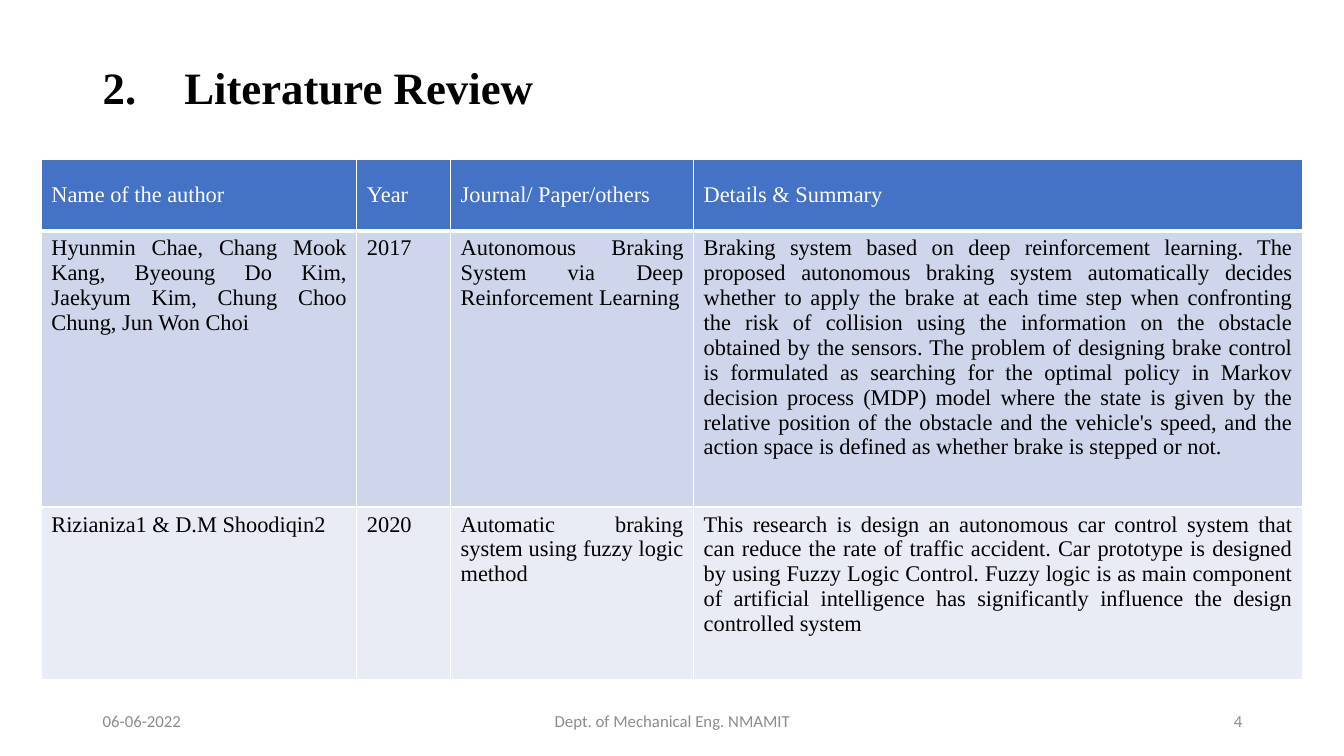
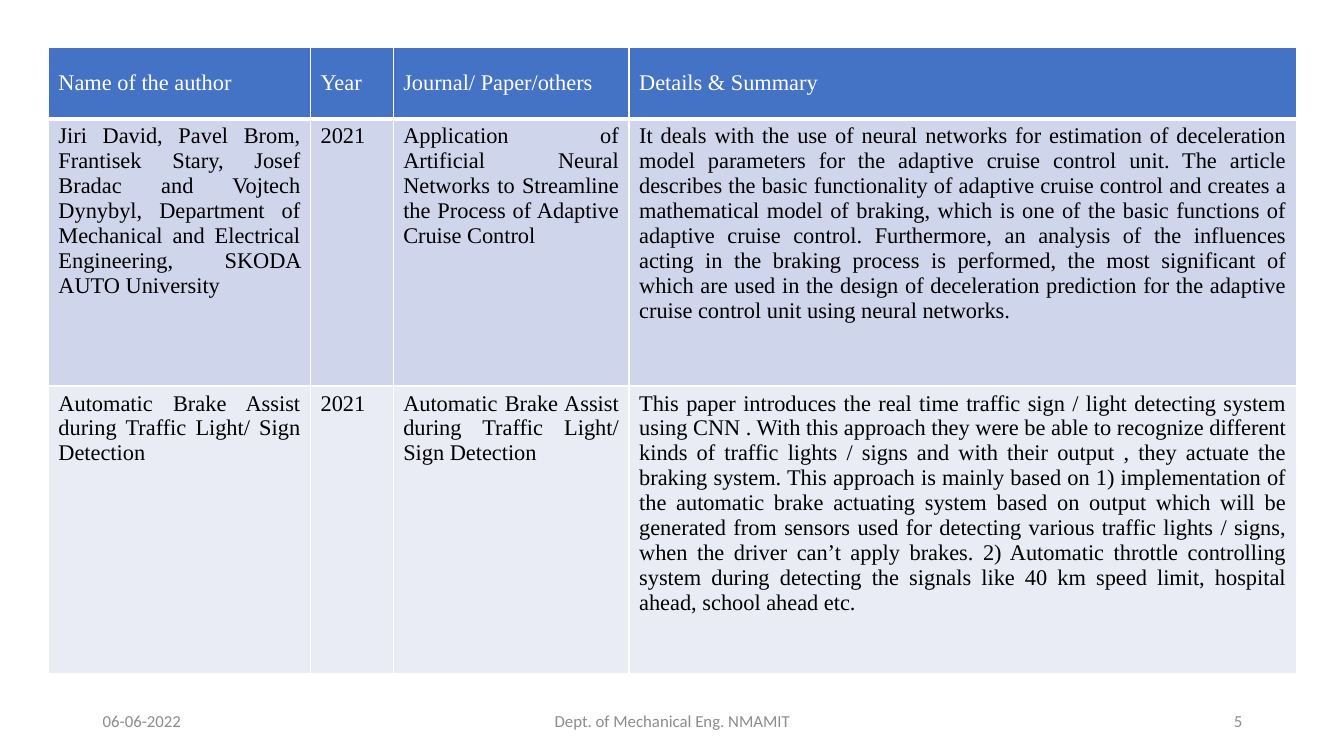
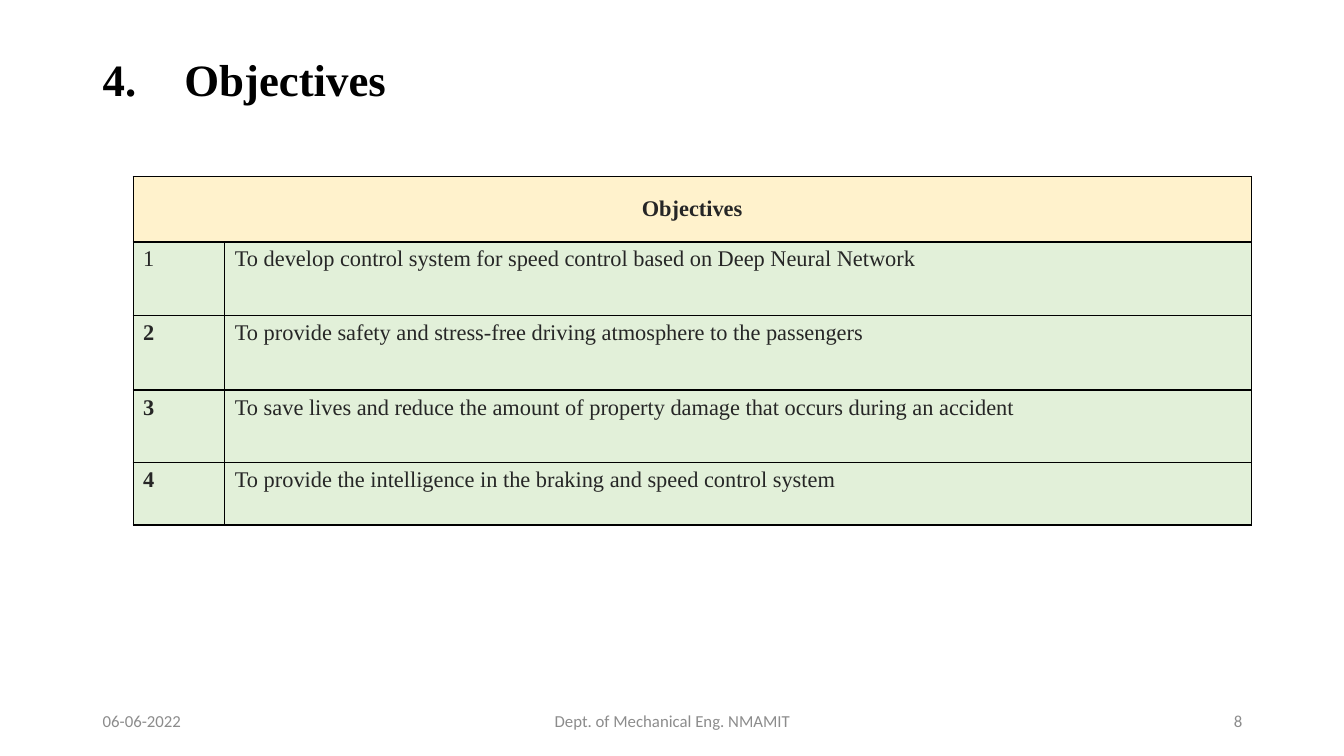
from dataclasses import dataclass
from typing import NamedTuple

from pptx import Presentation
from pptx.dml.color import RGBColor
from pptx.enum.text import MSO_ANCHOR, PP_ALIGN
from pptx.oxml.ns import qn
from pptx.util import Inches, Pt
from lxml.etree import SubElement

SERIF = "Times New Roman"
BLACK, WHITE, GREY, DARK = "000000", "FFFFFF", "8C8C8C", "262626"
BLUE, BLUE_TINT, PALE_BLUE = "4472C4", "CFD5EA", "E9EBF5"
CREAM, GREEN = "FFF2CC", "E2F0D9"
TITLE_INDENT = 0.81
REVIEW_HEADER = ("Name of the author", "Year", "Journal/ Paper/others", "Details & Summary")


class Box(NamedTuple):
    left: float
    top: float
    width: float
    height: float

    def inches(self) -> list:
        return [Inches(v) for v in self]


@dataclass
class TextStyle:
    size: float
    color: str
    name: str = SERIF
    bold: bool = False
    align: PP_ALIGN = PP_ALIGN.LEFT
    anchor: MSO_ANCHOR = MSO_ANCHOR.TOP


@dataclass
class CellStyle:
    text: TextStyle
    fill: str
    line: str
    top: float = 1
    bottom: float = 1


class FooterItem(NamedTuple):
    box: Box
    text: str
    align: PP_ALIGN


class Review(NamedTuple):
    author: str
    year: str
    paper: str
    summary: str


FOOTER = (
    FooterItem(Box(0.92, 6.95, 3, 0.4), "06-06-2022", PP_ALIGN.LEFT),
    FooterItem(Box(4.42, 6.95, 4.5, 0.4), "Dept. of Mechanical Eng. NMAMIT", PP_ALIGN.CENTER),
    FooterItem(Box(9.42, 6.95, 3, 0.4), "{number}", PP_ALIGN.RIGHT),
)

TITLE = TextStyle(32, BLACK, bold=True, anchor=MSO_ANCHOR.MIDDLE)
REVIEW_TEXT = TextStyle(16, BLACK, align=PP_ALIGN.JUSTIFY)
REVIEW_STYLES = (
    CellStyle(TextStyle(16, WHITE, align=PP_ALIGN.JUSTIFY, anchor=MSO_ANCHOR.MIDDLE),
              BLUE, WHITE, bottom=3),
    CellStyle(REVIEW_TEXT, BLUE_TINT, WHITE, top=3),
    CellStyle(REVIEW_TEXT, PALE_BLUE, WHITE),
)
OBJECTIVE_HEADER = CellStyle(
    TextStyle(16, DARK, bold=True, align=PP_ALIGN.CENTER, anchor=MSO_ANCHOR.MIDDLE), CREAM, BLACK)
OBJECTIVE = CellStyle(TextStyle(16, DARK), GREEN, BLACK)
OBJECTIVE_NUMBER = CellStyle(TextStyle(16, DARK, bold=True), GREEN, BLACK)

EARLY_REVIEWS = (
    Review(
        "Hyunmin Chae, Chang Mook Kang, Byeoung Do Kim, Jaekyum Kim, Chung Choo Chung, Jun Won Choi",
        "2017",
        "Autonomous Braking System via Deep Reinforcement Learning",
        "Braking system based on deep reinforcement learning. The proposed autonomous braking "
        "system automatically decides whether to apply the brake at each time step when "
        "confronting the risk of collision using the information on the obstacle obtained by the "
        "sensors. The problem of designing brake control is formulated as searching for the "
        "optimal policy in Markov decision process (MDP) model where the state is given by the "
        "relative position of the obstacle and the vehicle's speed, and the action space is "
        "defined as whether brake is stepped or not.",
    ),
    Review(
        "Rizianiza1 & D.M Shoodiqin2",
        "2020",
        "Automatic braking system using fuzzy logic method",
        "This research is design an autonomous car control system that can reduce the rate of "
        "traffic accident. Car prototype is designed by using Fuzzy Logic Control. Fuzzy logic is "
        "as main component of artificial intelligence has significantly influence the design "
        "controlled system",
    ),
)
LATE_REVIEWS = (
    Review(
        "Jiri David, Pavel Brom, Frantisek Stary, Josef Bradac and Vojtech Dynybyl, Department of "
        "Mechanical and Electrical Engineering, SKODA AUTO University",
        "2021",
        "Application of Artificial Neural Networks to Streamline the Process of Adaptive Cruise "
        "Control",
        "It deals with the use of neural networks for estimation of deceleration model parameters "
        "for the adaptive cruise control unit. The article describes the basic functionality of "
        "adaptive cruise control and creates a mathematical model of braking, which is one of the "
        "basic functions of adaptive cruise control. Furthermore, an analysis of the influences "
        "acting in the braking process is performed, the most significant of which are used in "
        "the design of deceleration prediction for the adaptive cruise control unit using neural "
        "networks.",
    ),
    Review(
        "Automatic Brake Assist during Traffic Light/ Sign Detection",
        "2021",
        "Automatic Brake Assist during Traffic Light/ Sign Detection",
        "This paper introduces the real time traffic sign / light detecting system using CNN . "
        "With this approach they were be able to recognize different kinds of traffic lights / "
        "signs and with their output , they actuate the braking system. This approach is mainly "
        "based on 1) implementation of the automatic brake actuating system based on output which "
        "will be generated from sensors used for detecting various traffic lights / signs, when "
        "the driver can’t apply brakes. 2) Automatic throttle controlling system during detecting "
        "the signals like 40 km speed limit, hospital ahead, school ahead etc.",
    ),
)
OBJECTIVES = (
    "To develop control system for speed control based on Deep Neural Network",
    "To provide safety and stress-free driving atmosphere to the passengers",
    "To save lives and reduce the amount of property damage that occurs during an accident",
    "To provide the intelligence in the braking and speed control system",
)


def rgb(value: str) -> RGBColor:
    return RGBColor.from_string(value)


def write(tf, text: str, style: TextStyle):
    p = tf.paragraphs[0]
    p.alignment = style.align
    r = p.add_run()
    r.text = text
    formats = {"name": style.name, "size": Pt(style.size), "bold": style.bold}
    for key, value in formats.items():
        setattr(r.font, key, value)
    r.font.color.rgb = rgb(style.color)
    return p


def add_text(s, box: Box, text: str, style: TextStyle):
    tf = s.shapes.add_textbox(*box.inches()).text_frame
    tf.word_wrap = True
    tf.vertical_anchor = style.anchor
    return write(tf, text, style)


def add_title(s, box: Box, number: int, text: str) -> None:
    p = add_text(s, box, text, TITLE)
    p.line_spacing = 0.9
    pPr = p._p.get_or_add_pPr()
    pPr.set("marL", str(Inches(TITLE_INDENT)))
    pPr.set("indent", str(-Inches(TITLE_INDENT)))
    SubElement(pPr, qn("a:buFont"), typeface=SERIF)
    SubElement(pPr, qn("a:buAutoNum"), type="arabicPeriod", startAt=str(number))


def set_borders(cell, style: CellStyle) -> None:
    tcPr = cell._tc.get_or_add_tcPr()
    widths = {"lnL": 1, "lnR": 1, "lnT": style.top, "lnB": style.bottom}
    for side, width in widths.items():
        ln = SubElement(tcPr, qn(f"a:{side}"), w=str(Pt(width)))
        SubElement(SubElement(ln, qn("a:solidFill")), qn("a:srgbClr"), val=style.line)


def style_cell(cell, style: CellStyle) -> None:
    set_borders(cell, style)
    cell.fill.solid()
    cell.fill.fore_color.rgb = rgb(style.fill)
    cell.vertical_anchor = style.text.anchor


def fill_cell(cell, text: str, style: CellStyle) -> None:
    style_cell(cell, style)
    write(cell.text_frame, text, style.text)


def add_grid(s, left: float, top: float, widths: list[float], heights: list[float]):
    box = Box(left, top, sum(widths), sum(heights))
    table = s.shapes.add_table(len(heights), len(widths), *box.inches()).table
    table.first_row = table.horz_banding = False
    for column, width in zip(table.columns, widths):
        column.width = Inches(width)
    for row, height in zip(table.rows, heights):
        row.height = Inches(height)
    return table


def add_reviews(s, left: float, top: float, widths: list[float], heights: list[float],
                reviews: tuple[Review, ...]) -> None:
    table = add_grid(s, left, top, widths, heights)
    for row, texts, style in zip(table.rows, (REVIEW_HEADER, *reviews), REVIEW_STYLES):
        for cell, text in zip(row.cells, texts):
            fill_cell(cell, text, style)


def add_objectives(s) -> None:
    table = add_grid(s, 1.32, 1.75, [0.91, 10.18], [0.65, 0.73, 0.74, 0.72, 0.62])
    header, covered = table.cell(0, 0), table.cell(0, 1)
    header.merge(covered)
    fill_cell(header, "Objectives", OBJECTIVE_HEADER)
    style_cell(covered, OBJECTIVE_HEADER)
    for i, text in enumerate(OBJECTIVES, 1):
        fill_cell(table.cell(i, 0), str(i), OBJECTIVE if i == 1 else OBJECTIVE_NUMBER)
        fill_cell(table.cell(i, 1), text, OBJECTIVE)


def add_slide(prs, number: int):
    s = prs.slides.add_slide(prs.slide_layouts[6])
    for item in FOOTER:
        style = TextStyle(12, GREY, "Calibri", align=item.align, anchor=MSO_ANCHOR.MIDDLE)
        add_text(s, item.box, item.text.format(number=number), style)
    return s


def main() -> None:
    prs = Presentation()
    prs.slide_width, prs.slide_height = Inches(13.33), Inches(7.5)

    s = add_slide(prs, 4)
    add_title(s, Box(0.92, 0.4, 11.5, 0.99), 2, "Literature Review")
    add_reviews(s, 0.41, 1.58, [3.13, 0.93, 2.41, 6.04], [0.71, 2.74, 1.71], EARLY_REVIEWS)

    s = add_slide(prs, 5)
    add_reviews(s, 0.48, 0.47, [2.6, 0.82, 2.34, 6.62], [0.71, 2.65, 2.85], LATE_REVIEWS)

    s = add_slide(prs, 8)
    add_title(s, Box(0.92, 0.4, 10.63, 0.83), 4, "Objectives")
    add_objectives(s)

    prs.save("out.pptx")


if __name__ == "__main__":
    main()
